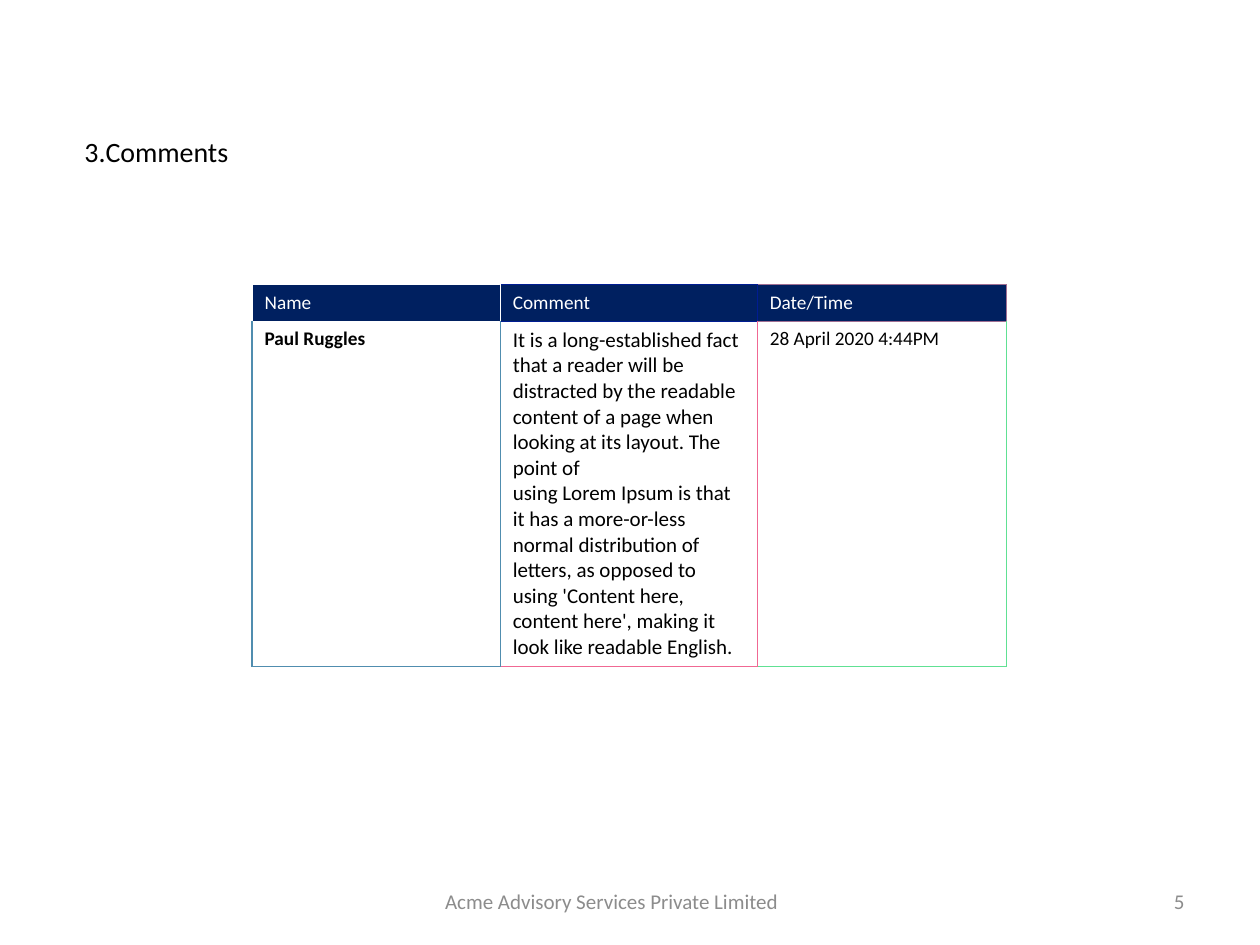
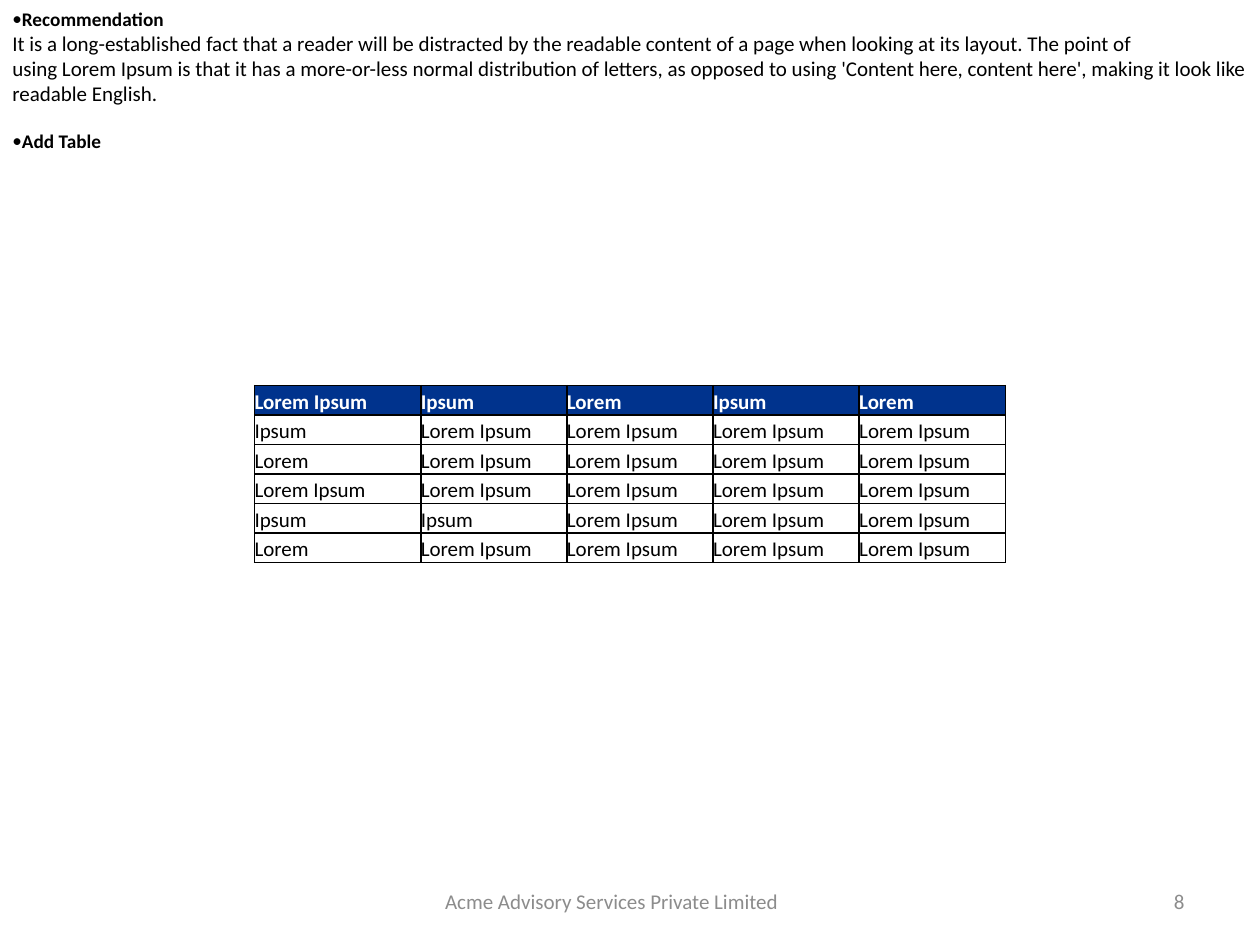
from lxml import etree
from pptx import Presentation
from pptx.dml.color import RGBColor
from pptx.enum.text import MSO_ANCHOR, MSO_AUTO_SIZE, PP_ALIGN
from pptx.oxml.ns import qn
from pptx.util import Inches, Pt

LEFT, CENTER, RIGHT = PP_ALIGN.LEFT, PP_ALIGN.CENTER, PP_ALIGN.RIGHT
TOP, MIDDLE = MSO_ANCHOR.TOP, MSO_ANCHOR.MIDDLE
NO_AUTOFIT = MSO_AUTO_SIZE.NONE
TITLE_ONLY, BLANK = 5, 6

FONT = "Calibri"
COLORS = {
    "white": "FFFFFF",
    "black": "000000",
    "footer": "8C8C8C",
    "comment_header": "002060",
    "lorem_header": "00338D",
    "blue": "001C92",
    "mauve": "A06F93",
    "teal": "508DAF",
    "pink": "F06893",
    "green": "60E193",
}
FOOTER_TEXT = "Acme Advisory Services Private Limited"
NARROW_SPACE = chr(8239)
UNBROKEN_PHRASE = NARROW_SPACE.join(["using", "Lorem", "Ipsum", "is"])
LOREM_TEXT = (
    f"It is a{NARROW_SPACE}long-established{NARROW_SPACE}fact that a reader will be "
    "distracted by the readable content of a page when looking at its layout. "
    f"The point of {UNBROKEN_PHRASE} that it has a more-or-less normal "
    "distribution of letters, as opposed to using 'Content here, content here', "
    "making it look like readable English."
)
SIDES = ("L", "R", "T", "B")
COMMENT_ROWS = [
    ["Name", "Comment", "Date/Time"],
    ["Paul Ruggles", LOREM_TEXT, "28 April 2020 4:44PM"],
]
COMMENT_BORDERS = [
    [
        ("white", "white", "white", "white"),
        ("white", "blue", "blue", "blue"),
        ("blue", "mauve", "mauve", "mauve"),
    ],
    [
        ("teal", "teal", "white", "teal"),
        ("teal", "pink", "blue", "pink"),
        ("pink", "green", "mauve", "green"),
    ],
]
LOREM_HEADER = ["Lorem Ipsum", "Ipsum", "Lorem", "Ipsum", "Lorem"]
LOREM_FIRST_TWO = [
    ("Ipsum", "Lorem Ipsum"),
    ("Lorem", "Lorem Ipsum"),
    ("Lorem Ipsum", "Lorem Ipsum"),
    ("Ipsum", "Ipsum"),
    ("Lorem", "Lorem Ipsum"),
]
LOREM_ROWS = [LOREM_HEADER] + [[*pair] + ["Lorem Ipsum"] * 3 for pair in LOREM_FIRST_TWO]


def color(name):
    return RGBColor.from_string(COLORS[name])


def set_attributes(target, values):
    for name, value in values.items():
        setattr(target, name, value)


def write_paragraph(paragraph, text, size, color_name="black", bold=False, **layout):
    run = paragraph.add_run()
    run.text = text
    set_attributes(run.font, {"name": FONT, "size": Pt(size), "bold": bold})
    run.font.color.rgb = color(color_name)
    set_attributes(paragraph, {"alignment": LEFT, **layout})


def add_bullet(paragraph, kind, **attributes):
    properties = paragraph._p.get_or_add_pPr()
    properties.set("marL", "0")
    properties.set("indent", "0")
    etree.SubElement(properties, qn("a:buFont"), typeface=FONT)
    etree.SubElement(properties, qn(f"a:{kind}"), attributes)


def frame_text(shape, anchor, margins):
    frame = shape.text_frame
    names = ("margin_left", "margin_top", "margin_right", "margin_bottom")
    set_attributes(frame, {"word_wrap": True, "auto_size": NO_AUTOFIT, "vertical_anchor": anchor})
    set_attributes(frame, {name: Inches(margin) for name, margin in zip(names, margins)})
    return frame


def add_text_box(slide, box, anchor, margins):
    shape = slide.shapes.add_textbox(*map(Inches, box))
    return frame_text(shape, anchor, margins)


def add_footer(slide, box, number):
    left, top, width, height = box
    number_width = 2.33
    name_frame = add_text_box(slide, (left, top, 3.17, height), MIDDLE, (0, 0.05, 0.3, 0.05))
    write_paragraph(name_frame.paragraphs[0], FOOTER_TEXT, 12, "footer", alignment=CENTER)
    number_box = (left + width - number_width, top, number_width, height)
    number_frame = add_text_box(slide, number_box, MIDDLE, (0.1, 0.05, 0.1, 0.05))
    write_paragraph(number_frame.paragraphs[0], number, 12, "footer", alignment=RIGHT)


def add_numbered_title(slide, box, text, number):
    title = slide.shapes.title
    positions = zip(("left", "top", "width", "height"), map(Inches, box))
    set_attributes(title, dict(positions))
    title.fill.solid()
    title.fill.fore_color.rgb = color("white")
    frame = frame_text(title, TOP, (0, 0.15, 0, 0))
    write_paragraph(frame.paragraphs[0], text, 16)
    add_bullet(frame.paragraphs[0], "buAutoNum", type="arabicPeriod", startAt=str(number))


def set_borders(cell, color_names, width):
    properties = cell._tc.get_or_add_tcPr()
    for side, name in zip(SIDES, color_names):
        line = etree.SubElement(properties, qn(f"a:ln{side}"), w=str(Pt(width)))
        fill = etree.SubElement(line, qn("a:solidFill"))
        etree.SubElement(fill, qn("a:srgbClr"), val=COLORS[name])


def add_grid(slide, position, column_widths, row_heights):
    size = (sum(column_widths), sum(row_heights))
    bounds = map(Inches, (*position, *size))
    table = slide.shapes.add_table(len(row_heights), len(column_widths), *bounds).table
    set_attributes(table, {"first_row": False, "horz_banding": False})
    for column, width in zip(table.columns, column_widths):
        column.width = Inches(width)
    for row, height in zip(table.rows, row_heights):
        row.height = Inches(height)
    return table


def fill_cell(cell, fill_name):
    if fill_name:
        cell.fill.solid()
        cell.fill.fore_color.rgb = color(fill_name)
    else:
        cell.fill.background()


def add_comment_table(slide, position):
    table = add_grid(slide, position, (1.97, 2.04, 1.98), (0.28, 2.74))
    for row, texts in enumerate(COMMENT_ROWS):
        for column, text in enumerate(texts):
            cell = table.cell(row, column)
            set_borders(cell, COMMENT_BORDERS[row][column], 0.75)
            fill_cell(cell, "comment_header" if row == 0 else None)
            write_paragraph(
                cell.text_frame.paragraphs[0],
                text,
                12 if text == LOREM_TEXT else 11,
                "white" if row == 0 else "black",
                bold=row == 1 and column == 0,
            )


def add_lorem_table(slide, position):
    table = add_grid(slide, position, [1.32] + [1.16] * 4, [0.23] * len(LOREM_ROWS))
    margins = dict.fromkeys(("margin_left", "margin_top", "margin_right", "margin_bottom"), 0)
    for row, texts in enumerate(LOREM_ROWS):
        for column, text in enumerate(texts):
            cell = table.cell(row, column)
            set_attributes(cell, margins)
            set_borders(cell, ["black"] * 4, 1)
            fill_cell(cell, "lorem_header" if row == 0 else None)
            write_paragraph(
                cell.text_frame.paragraphs[0],
                text,
                12,
                "white" if row == 0 else "black",
                bold=row == 0,
                line_spacing=1.15,
            )


def add_recommendation(slide, box):
    frame = add_text_box(slide, box, TOP, (0.1, 0.06, 0.1, 0.05))
    heading = frame.paragraphs[0]
    write_paragraph(heading, "Recommendation", 11, bold=True)
    write_paragraph(frame.add_paragraph(), LOREM_TEXT, 12)
    table_heading = frame.add_paragraph()
    write_paragraph(table_heading, "Add Table", 11, bold=True, space_before=Pt(13))
    for paragraph in (heading, table_heading):
        add_bullet(paragraph, "buChar", char="•")


def add_slide(presentation, layout, number):
    slide = presentation.slides.add_slide(presentation.slide_layouts[layout])
    add_footer(slide, (3.42, 6.95, 6.08, 0.4), number)
    return slide


def build_comments_slide(presentation):
    slide = add_slide(presentation, TITLE_ONLY, "5")
    add_comment_table(slide, (2, 2.26))
    add_numbered_title(slide, (0.67, 0.92, 7.5, 0.96), "Comments", 3)


def build_recommendation_slide(presentation):
    slide = add_slide(presentation, BLANK, "8")
    add_lorem_table(slide, (2.02, 3.06))
    add_recommendation(slide, (0, 0, 10, 1.6))


def main():
    presentation = Presentation()
    set_attributes(presentation, {"slide_width": Inches(10), "slide_height": Inches(7.5)})
    build_comments_slide(presentation)
    build_recommendation_slide(presentation)
    presentation.save("out.pptx")


if __name__ == "__main__":
    main()
